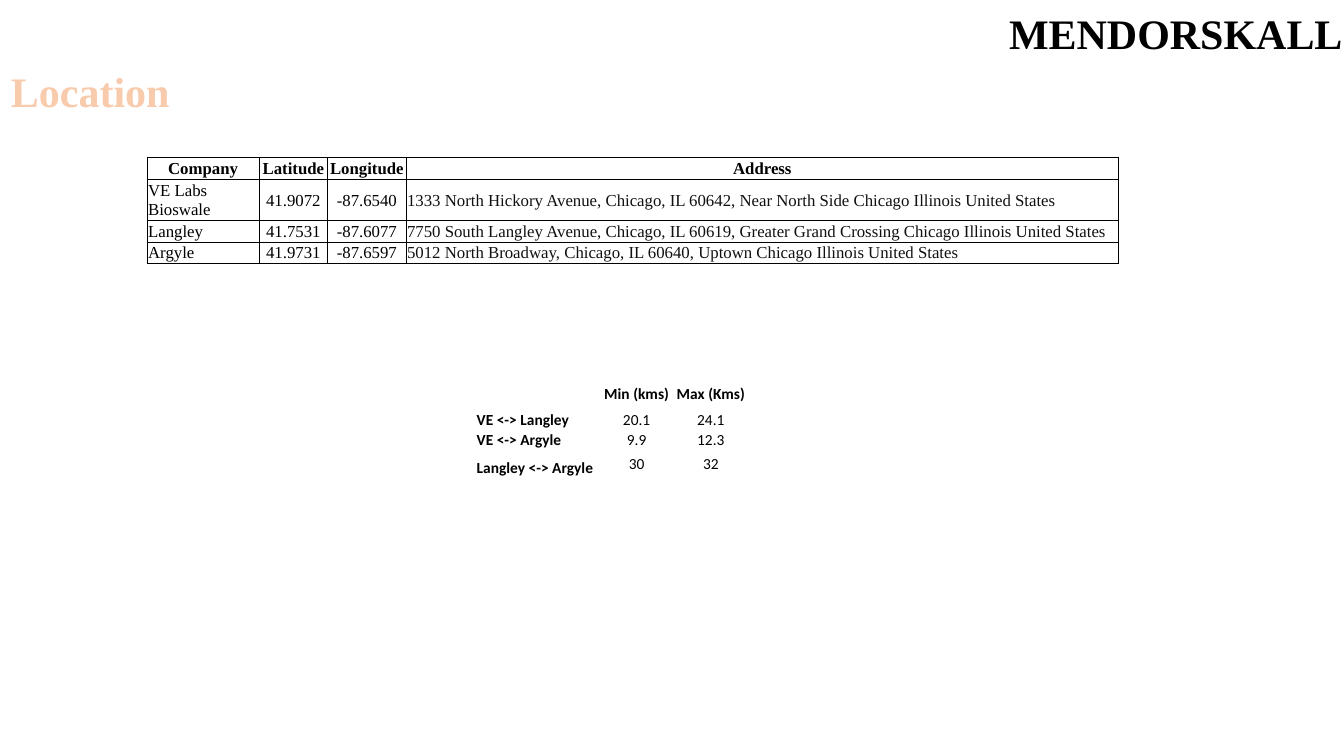
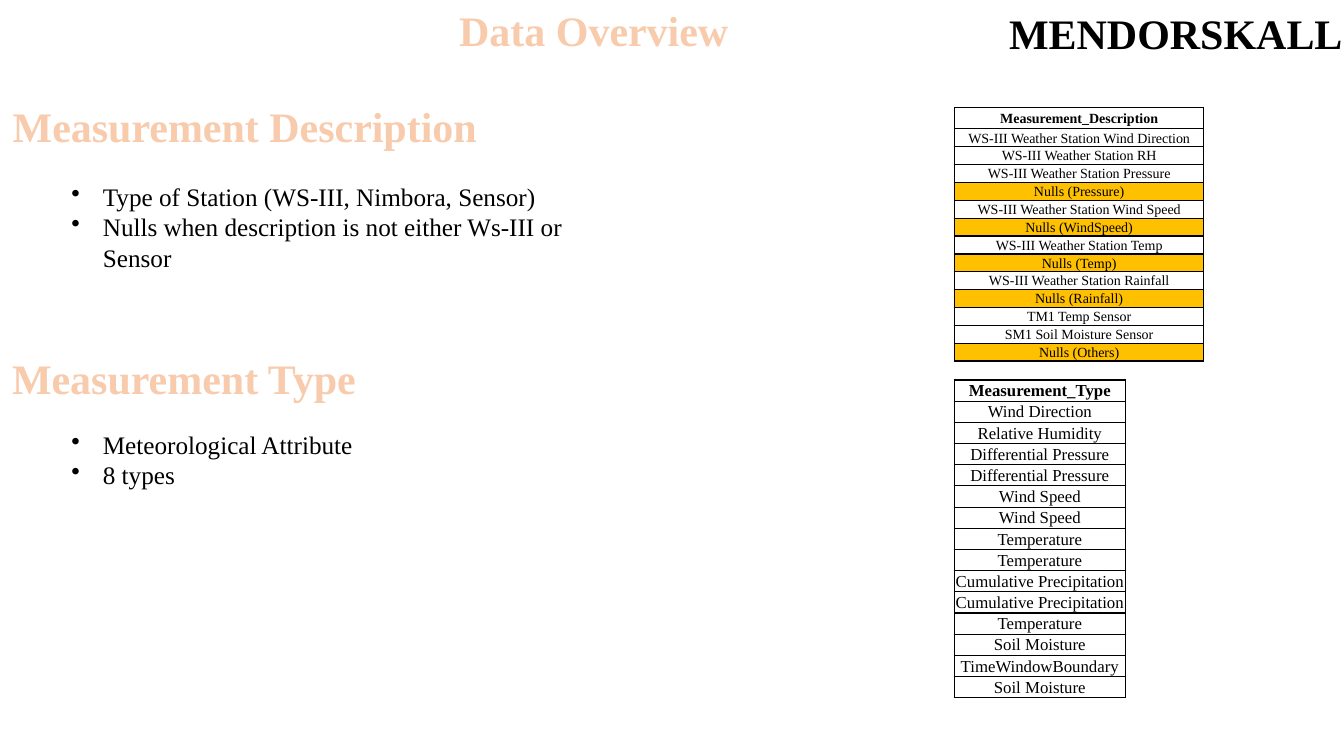
import pptx
import pptx.util
import pptx.dml.color
import pptx.enum.text
import pptx.oxml
import pptx.oxml.ns
from dataclasses import dataclass
from lxml import etree

Pt = pptx.util.Pt
ALIGN = pptx.enum.text.PP_ALIGN
ANCHOR = pptx.enum.text.MSO_ANCHOR
FIT = pptx.enum.text.MSO_AUTO_SIZE


@dataclass(frozen=True)
class Theme:
    ink: str = "000000"
    address: str = "111111"
    peach: str = "F8CBAD"
    orange: str = "ED7D31"
    amber: str = "FFC000"
    serif: str = "Times New Roman"
    sans: str = "Calibri"
    title: int = 30
    body: int = 18
    table: int = 12
    small: int = 10
    distance: int = 11


T = Theme()


def sub(parent, tag, **attrs):
    return etree.SubElement(parent, pptx.oxml.ns.qn(tag), attrs)


def make_line(tag, color, width):
    ln = pptx.oxml.parse_xml(f"<{tag} {pptx.oxml.ns.nsdecls('a')}/>")
    if width:
        ln.set("w", str(int(Pt(width))))
        sub(sub(ln, "a:solidFill"), "a:srgbClr", val=color)
    else:
        sub(ln, "a:noFill")
    return ln


def write(p, text, size=T.body, color=T.ink, font=T.serif, bold=False, align=None, outline=None):
    p.alignment = align
    r = p.add_run()
    r.text = text
    r.font.size = Pt(size)
    r.font.name = font
    r.font.bold = bold
    r.font.color.rgb = pptx.dml.color.RGBColor.from_string(color)
    if outline:
        r.font._element.insert(0, make_line("a:ln", *outline))


def add_box(s, x, y, w, h, wrap=True):
    tf = s.shapes.add_textbox(Pt(x), Pt(y), Pt(w), Pt(h)).text_frame
    tf.word_wrap = wrap
    tf.auto_size = FIT.SHAPE_TO_FIT_TEXT
    return tf


def add_heading(s, text, x, y, w):
    tf = add_box(s, x, y, w, 44, wrap=False)
    write(tf.paragraphs[0], text, size=T.title, color=T.peach, bold=True,
          align=ALIGN.CENTER, outline=(T.orange, 1.75))


def add_bullets(s, items, x, y, w, h):
    tf = add_box(s, x, y, w, h)
    for i, item in enumerate(items):
        p = tf.paragraphs[0] if i == 0 else tf.add_paragraph()
        write(p, item)
        pPr = p._p.get_or_add_pPr()
        pPr.set("marL", str(int(Pt(22.5))))
        pPr.set("indent", str(-int(Pt(22.5))))
        sub(pPr, "a:buChar", char="•")


def set_borders(cell, width, closed=True):
    tcPr = cell._tc.get_or_add_tcPr()
    for side in "LRTB":
        shown = width if closed or side == "T" else 0
        tcPr.append(make_line(f"a:ln{side}", T.ink, shown))


def add_table(s, rows, x, y, widths, heights, style, border=0):
    table = s.shapes.add_table(len(rows), len(widths), Pt(x), Pt(y),
                               Pt(sum(widths)), Pt(sum(heights))).table
    table.first_row = False
    table.horz_banding = False
    for col, width in zip(table.columns, widths):
        col.width = Pt(width)
    for i, (row, height) in enumerate(zip(rows, heights)):
        table.rows[i].height = Pt(height)
        for j, text in enumerate(row):
            cell = table.cell(i, j)
            cell.margin_left = cell.margin_right = cell.margin_top = Pt(0.72)
            cell.margin_bottom = 0
            set_borders(cell, border, closed=any(row))
            fmt = dict(style(i, j))
            cell.vertical_anchor = fmt.pop("anchor", ANCHOR.MIDDLE)
            if text.startswith("Nulls"):
                cell.fill.solid()
                cell.fill.fore_color.rgb = pptx.dml.color.RGBColor.from_string(T.amber)
            else:
                cell.fill.background()
            write(cell.text_frame.paragraphs[0], text, **fmt)


def site_style(i, j):
    centred = i == 0 or j in (1, 2)
    return dict(size=T.table, bold=i == 0,
                color=T.address if i and j == 3 else T.ink,
                align=ALIGN.CENTER if centred else ALIGN.LEFT)


def distance_style(i, j):
    return dict(size=T.distance, font=T.sans, bold=i == 0 or j == 0,
                align=ALIGN.CENTER if j else ALIGN.LEFT,
                anchor=ANCHOR.BOTTOM if j == 0 else ANCHOR.MIDDLE)


def add_list_table(s, items, y, width, pitch, size):
    rows = [[item] for item in items] + [[""]]
    heights = [15.1] + [pitch] * (len(items) - 1) + [14.4]
    add_table(s, rows, 681.8, y, [width], heights,
              lambda i, j: dict(size=size, bold=i == 0, align=ALIGN.CENTER), border=1)


def new_slide(prs):
    s = prs.slides.add_slide(prs.slide_layouts[6])
    tf = add_box(s, 710, 1.5, 260, 44)
    write(tf.paragraphs[0], "MENDORSKALL", size=T.title, bold=True,
          align=ALIGN.CENTER, outline=(T.ink, 0.5))
    return s


def location_slide(prs):
    s = new_slide(prs)
    add_heading(s, "Location", 0, 43.2, 129)
    sites = [
        ["Company", "Latitude", "Longitude", "Address"],
        ["VE Labs Bioswale", "41.9072", "-87.6540",
         "1333 North Hickory Avenue, Chicago, IL 60642, Near North Side Chicago Illinois United States"],
        ["Langley", "41.7531", "-87.6077",
         "7750 South Langley Avenue, Chicago, IL 60619, Greater Grand Crossing Chicago Illinois United States"],
        ["Argyle", "41.9731", "-87.6597",
         "5012 North Broadway, Chicago, IL 60640, Uptown Chicago Illinois United States"],
    ]
    add_table(s, sites, 105.1, 112.3, [80, 49, 56, 509], [15.8, 29.2, 15, 15],
              site_style, border=0.5)
    distances = [
        ["", "Min (kms)", "Max (Kms)"],
        ["VE <-> Langley", "20.1", "24.1"],
        ["VE <-> Argyle", "9.9", "12.3"],
        ["Langley <-> Argyle", "30", "32"],
    ]
    add_table(s, distances, 339.8, 270, [89, 52, 54], [15.5, 14.4, 14.4, 20],
              distance_style)


def overview_slide(prs):
    s = new_slide(prs)
    add_heading(s, "Data Overview", 319.7, 0, 209)
    add_heading(s, "Measurement Description", 0, 68.4, 350)
    add_bullets(s, ["Type of Station (WS-III, Nimbora, Sensor)",
                    "Nulls when description is not either Ws-III or Sensor"],
                43.9, 126, 407, 73)
    add_heading(s, "Measurement Type", 0, 248.4, 263)
    add_bullets(s, ["Meteorological Attribute", "8 types"], 43.9, 303, 407, 73)

    station = "WS-III Weather Station"
    descriptions = [
        "Measurement_Description",
        f"{station} Wind Direction", f"{station} RH",
        f"{station} Pressure", "Nulls (Pressure)",
        f"{station} Wind Speed", "Nulls (WindSpeed)",
        f"{station} Temp", "Nulls (Temp)",
        f"{station} Rainfall", "Nulls (Rainfall)",
        "TM1 Temp Sensor", "SM1 Soil Moisture Sensor", "Nulls (Others)",
    ]
    add_list_table(s, descriptions, 77, 178, 12.63, T.small)
    types = [
        "Measurement_Type", "Wind Direction", "Relative Humidity",
        "Differential Pressure", "Differential Pressure",
        "Wind Speed", "Wind Speed", "Temperature", "Temperature",
        "Cumulative Precipitation", "Cumulative Precipitation",
        "Temperature", "Soil Moisture", "TimeWindowBoundary", "Soil Moisture",
    ]
    add_list_table(s, types, 271.4, 122, 15, T.table)


def main():
    prs = pptx.Presentation()
    prs.slide_width = Pt(960)
    prs.slide_height = Pt(540)
    location_slide(prs)
    overview_slide(prs)
    prs.save("out.pptx")


main()
